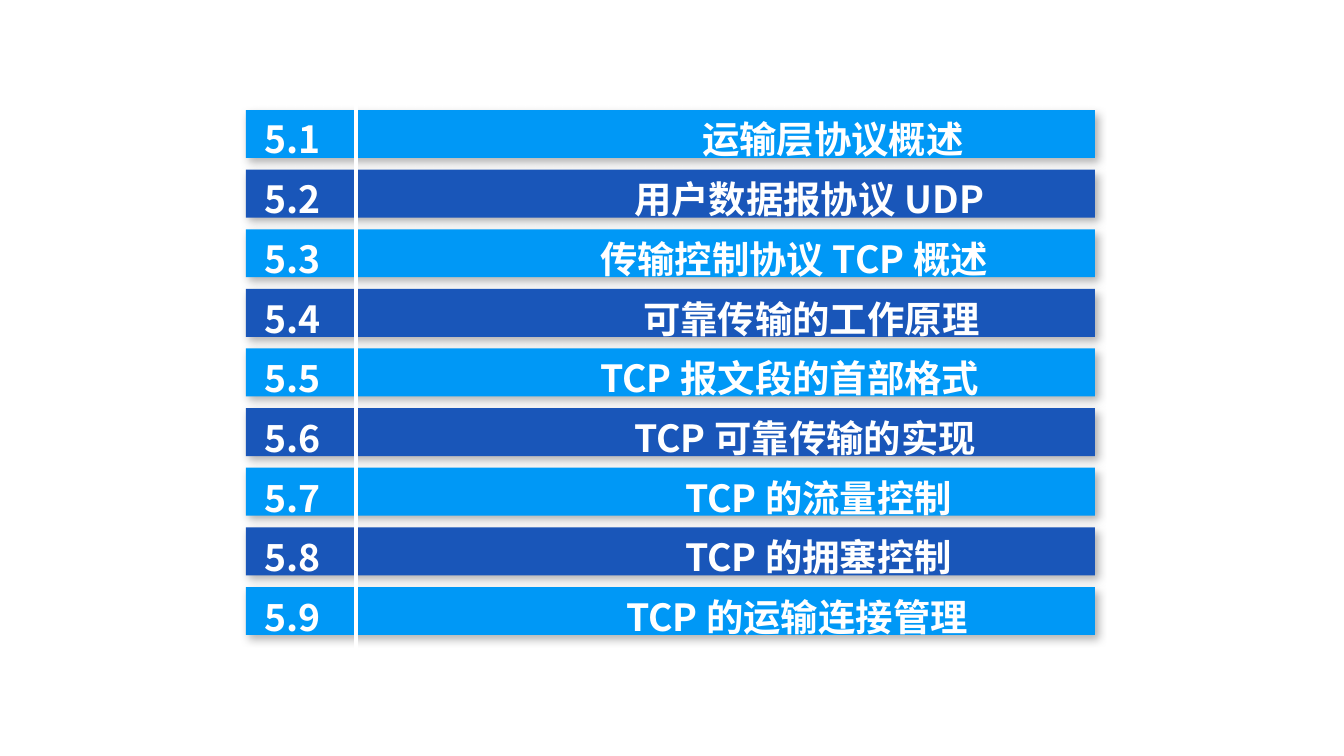
from lxml import etree
from pptx import Presentation
from pptx.dml.color import RGBColor
from pptx.enum.shapes import MSO_CONNECTOR, MSO_SHAPE
from pptx.enum.text import MSO_ANCHOR, MSO_AUTO_SIZE
from pptx.oxml import parse_xml
from pptx.oxml.ns import nsdecls, qn
from pptx.util import Emu, Pt

RECT = MSO_SHAPE.RECTANGLE
STRAIGHT = MSO_CONNECTOR.STRAIGHT
TOP = MSO_ANCHOR.TOP
NO_FIT = MSO_AUTO_SIZE.NONE
EMU_PER_PX = 914400 / 134.4


class Theme:
    light = RGBColor.from_string("0098F6")
    dark = RGBColor.from_string("1956B9")
    white = RGBColor.from_string("FFFFFF")
    font = "Noto Sans CJK SC"
    size = Pt(20)
    leading = Pt(32)
    divider = Pt(2.25)


# Section number, title, and where the title starts in px
SECTIONS = [
    ("5.1", "运输层协议概述", 702),
    ("5.2", "用户数据报协议 UDP", 634),
    ("5.3", "传输控制协议 TCP 概述", 600),
    ("5.4", "可靠传输的工作原理", 643),
    ("5.5", "TCP 报文段的首部格式", 600),
    ("5.6", "TCP 可靠传输的实现", 634),
    ("5.7", "TCP 的流量控制", 685),
    ("5.8", "TCP 的拥塞控制", 685),
    ("5.9", "TCP 的运输连接管理", 626),
]
BAR_LEFT, BAR_TOP, BAR_WIDTH, BAR_HEIGHT = 246, 110, 849, 48
LAST_BAR_TOP = 587
TEXT_LEFT, TEXT_TOP, TEXT_WIDTH, TEXT_HEIGHT = 251, 95, 844, 556
INSET = 13


def px(n):
    return Emu(round(n * EMU_PER_PX))


def set_all(target, values):
    for name, value in values.items():
        setattr(target, name, value)


def add_shadow(s):
    s.shadow.inherit = False
    effects = s._element.spPr.find(qn("a:effectLst"))
    effects.append(parse_xml(
        f'<a:outerShdw {nsdecls("a")} blurRad="57150" dist="33020" '
        'dir="3180000" algn="ctr" rotWithShape="0">'
        '<a:srgbClr val="000000"><a:alpha val="30000"/></a:srgbClr>'
        '</a:outerShdw>'))


def add_bar(slide, top, color):
    s = slide.shapes.add_shape(
        RECT, px(BAR_LEFT), px(top), px(BAR_WIDTH), px(BAR_HEIGHT))
    s.fill.solid()
    s.fill.fore_color.rgb = color
    s.line.fill.background()
    add_shadow(s)


def add_divider(slide, x, top, bottom):
    line = slide.shapes.add_connector(STRAIGHT, px(x), px(top), px(x), px(bottom))
    line.line.color.rgb = Theme.white
    line.line.width = Theme.divider
    etree.SubElement(line._element.spPr, qn("a:effectLst"))


def add_section(p, number, title, title_left):
    # A tab stop places the title
    tabs = etree.SubElement(p._p.get_or_add_pPr(), qn("a:tabLst"))
    stop = px(title_left - TEXT_LEFT - INSET)
    etree.SubElement(tabs, qn("a:tab"), pos=str(stop), algn="l")
    p.line_spacing = Theme.leading

    r = p.add_run()
    r.text = f"{number}\t{title}"
    set_all(r.font, {"name": Theme.font, "size": Theme.size, "bold": True})
    r.font.color.rgb = Theme.white
    etree.SubElement(r._r.get_or_add_rPr(), qn("a:ea"), typeface=Theme.font)


def add_section_list(slide):
    box = slide.shapes.add_textbox(
        px(TEXT_LEFT), px(TEXT_TOP), px(TEXT_WIDTH), px(TEXT_HEIGHT))
    tf = box.text_frame
    set_all(tf, {"word_wrap": True, "auto_size": NO_FIT, "vertical_anchor": TOP,
                 "margin_left": px(INSET), "margin_right": px(INSET)})
    for i, section in enumerate(SECTIONS):
        p = tf.add_paragraph() if i else tf.paragraphs[0]
        add_section(p, *section)


def main():
    prs = Presentation()
    set_all(prs, {"slide_width": px(1344), "slide_height": px(756)})
    slide = prs.slides.add_slide(prs.slide_layouts[6])

    # Bars in alternating colours
    pitch = (LAST_BAR_TOP - BAR_TOP) / (len(SECTIONS) - 1)
    for i in range(len(SECTIONS)):
        add_bar(slide, BAR_TOP + i * pitch, Theme.dark if i % 2 else Theme.light)

    # Divider and text
    add_divider(slide, 356, 91, 668)
    add_section_list(slide)
    prs.save("out.pptx")


if __name__ == "__main__":
    main()
